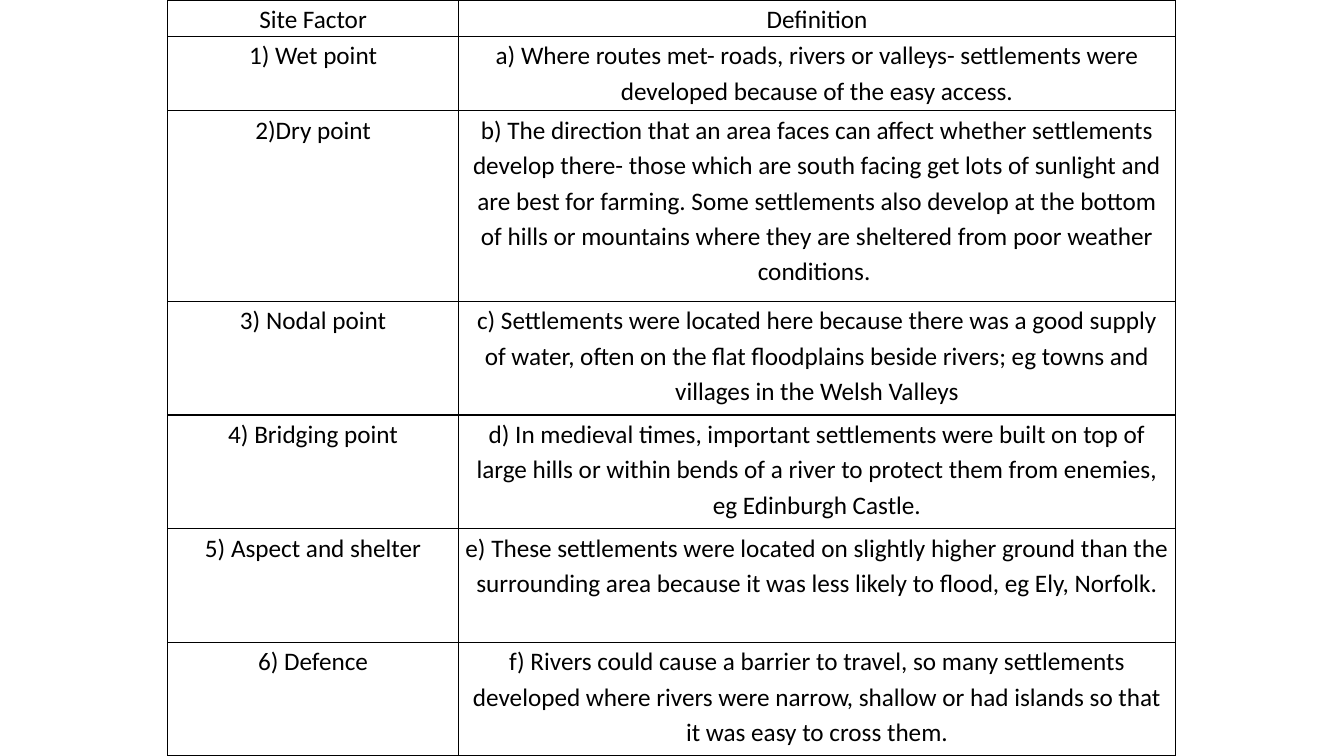
from lxml import etree
from pptx import Presentation
from pptx.dml.color import RGBColor
from pptx.enum import text
from pptx.oxml.ns import qn
from pptx.util import Cm, Pt

BLACK = RGBColor(0, 0, 0)

deck = Presentation()
deck.slide_width, deck.slide_height = Cm(33.87), Cm(19.05)
slide = deck.slides.add_slide(deck.slide_layouts[6])

rows = [
    ("Site Factor", "Definition"),
    ("1) Wet point",
     "a) Where routes met- roads, rivers or valleys- settlements were "
     "developed because of the easy access."),
    ("2)Dry point",
     "b) The direction that an area faces can affect whether settlements "
     "develop there- those which are south facing get lots of sunlight and "
     "are best for farming. Some settlements also develop at the bottom of "
     "hills or mountains where they are sheltered from poor weather "
     "conditions. "),
    ("3) Nodal point",
     "c) Settlements were located here because there was a good supply of "
     "water, often on the flat floodplains beside rivers; eg towns and "
     "villages in the Welsh Valleys"),
    ("4) Bridging point",
     "d) In medieval times, important settlements were built on top of large "
     "hills or within bends of a river to protect them from enemies, eg "
     "Edinburgh Castle."),
    ("5) Aspect and shelter",
     "e) These settlements were located on slightly higher ground than the "
     "surrounding area because it was less likely to flood, eg Ely, Norfolk."),
    ("6) Defence",
     "f) Rivers could cause a barrier to travel, so many settlements "
     "developed where rivers were narrow, shallow or had islands so that it "
     "was easy to cross them."),
]
widths = [7.32, 18.08]
heights = [0.91, 1.88, 4.8] + [2.865] * 4
pads = {"margin_left": Cm(0.18), "margin_right": Cm(0.18),
        "margin_top": 0, "margin_bottom": 0}
style = {"name": "Calibri", "size": Pt(18), "bold": False}


def border(cell):
    props = cell._tc.get_or_add_tcPr()
    for spot, side in enumerate(("lnL", "lnR", "lnT", "lnB")):
        line = etree.Element(qn("a:" + side), w=str(Pt(1)))
        fill = etree.SubElement(line, qn("a:solidFill"))
        etree.SubElement(fill, qn("a:srgbClr"), val=str(BLACK))
        props.insert(spot, line)


frame = slide.shapes.add_table(len(rows), 2, Cm(4.23), 0,
                               Cm(sum(widths)), Cm(sum(heights)))
table = frame.table
table.first_row = table.horz_banding = False
for col, width in zip(table.columns, widths):
    col.width = Cm(width)
for row, height, words in zip(table.rows, heights, rows):
    row.height = Cm(height)
    for cell, word in zip(row.cells, words):
        cell.fill.background()
        border(cell)
        for key, value in pads.items():
            setattr(cell, key, value)
        cell.text = word
        para = cell.text_frame.paragraphs[0]
        para.alignment = text.PP_ALIGN.CENTER
        para.line_spacing = 1.15
        font = para.runs[0].font
        for key, value in style.items():
            setattr(font, key, value)
        font.color.rgb = BLACK

deck.save("out.pptx")
